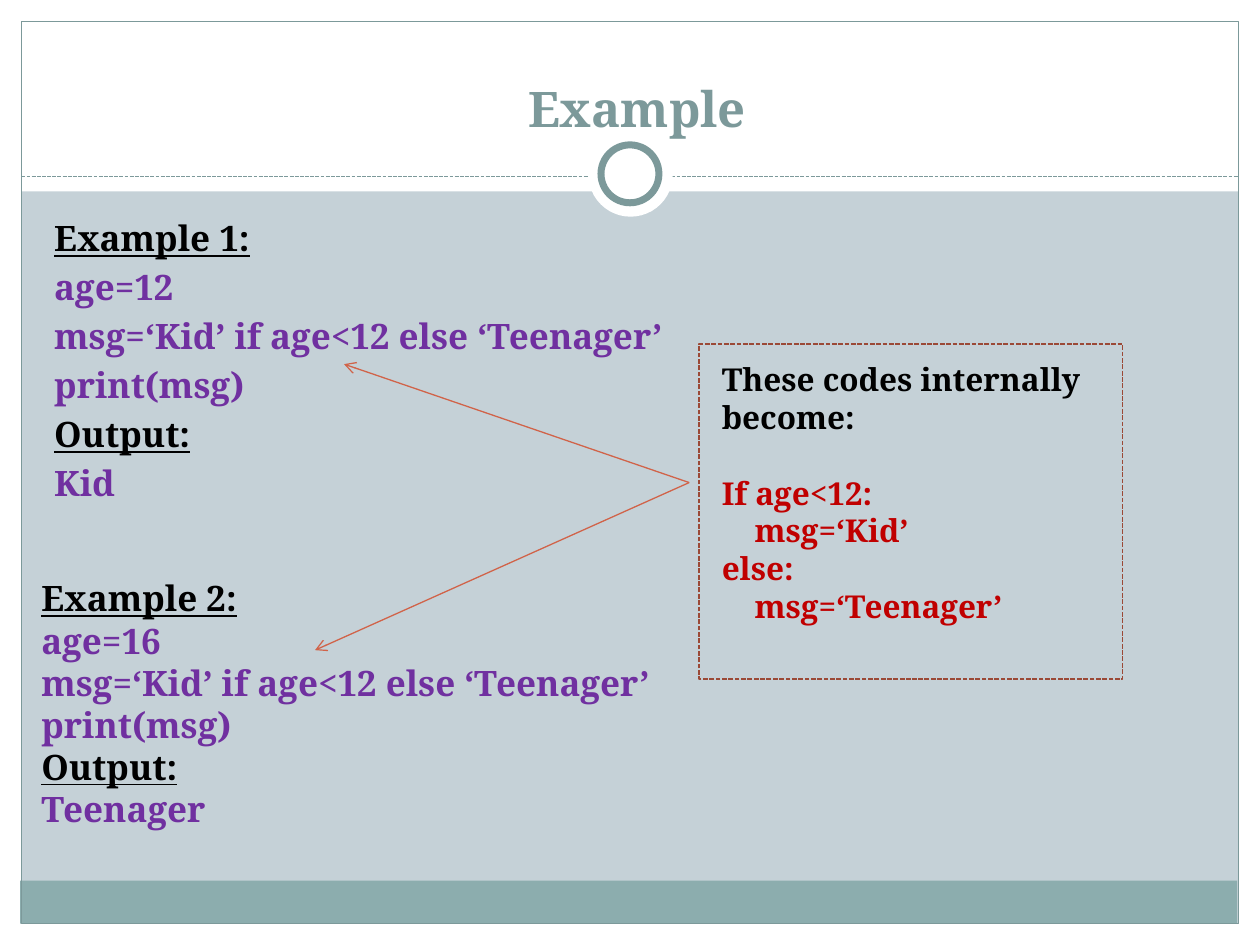
from pptx import Presentation
from pptx.dml.color import RGBColor as RGB
from pptx.enum.dml import MSO_LINE as Dash
from pptx.enum.shapes import MSO_CONNECTOR as Conn, MSO_SHAPE as Shape
from pptx.enum.text import MSO_ANCHOR as Anchor, MSO_AUTO_SIZE as Auto, PP_ALIGN as Align
from pptx.oxml.ns import qn
from pptx.util import Inches, Pt
from lxml.etree import SubElement

# Content: (text, colour, underlined)
TITLE = "Example"


def code(num, age, out):
    return [
        (f"Example {num}:", "black", True),
        (f"age={age}", "purple", False),
        ("msg=‘Kid’ if age<12 else ‘Teenager’", "purple", False),
        ("print(msg)", "purple", False),
        ("Output:", "black", True),
        (out, "purple", False),
    ]


FIRST = code(1, 12, "Kid")
SECOND = code(2, 16, "Teenager")
NOTE = [
    ("These codes internally", "black", False),
    ("become:", "black", False),
    ("If age<12:", "red", False),
    ("msg=‘Kid’", "red", False),
    ("else:", "red", False),
    ("msg=‘Teenager’", "red", False),
]
FONT = "Noto Serif"
HEX = {
    "back": "C5D1D7", "white": "FFFFFF", "band": "8CADAE", "teal": "7C999A",
    "black": "000000", "purple": "7030A0", "red": "C00000",
    "arrow": "D16349", "frame": "9B4936",
}

# Frame parts: shape, box, fill, line colour, line width
FRAME = [
    (Shape.RECTANGLE, (0, 7.33, 10, 0.17), "white", None, 0),
    (Shape.RECTANGLE, (0, 0, 10, 1.52), "white", None, 0),
    (Shape.RECTANGLE, (0, 0, 0.17, 7.5), "white", None, 0),
    (Shape.RECTANGLE, (9.83, 0, 0.17, 7.5), "white", None, 0),
    (Shape.RECTANGLE, (0.16, 6.99, 9.66, 0.34), "band", None, 0),
    (Shape.RECTANGLE, (0.17, 0.17, 9.66, 7.16), None, "teal", 0.75),
]
RINGS = [
    (Shape.OVAL, (4.67, 1.05, 0.67, 0.67), "white", None, 0),
    (Shape.OVAL, (4.77, 1.15, 0.46, 0.46), "white", "teal", 4),
]
START = (5.47, 3.83)
ENDS = [(2.73, 2.89), (2.5, 5.16)]

deck = Presentation()
deck.slide_width, deck.slide_height = Inches(10), Inches(7.5)
slide = deck.slides.add_slide(deck.slide_layouts[1])
slide.background.fill.solid()
slide.background.fill.fore_color.rgb = RGB.from_string(HEX["back"])
parts = slide.shapes


def color(name):
    return RGB.from_string(HEX[name])


def draw(kind, box, fill, line, width):
    item = parts.add_shape(kind, *map(Inches, box))
    item.shadow.inherit = False
    if fill:
        item.fill.solid()
        item.fill.fore_color.rgb = color(fill)
    else:
        item.fill.background()
    if line:
        item.line.color.rgb = color(line)
        item.line.width = Pt(width)
    else:
        item.line.fill.background()
    return item


def link(start, end, name):
    line = parts.add_connector(Conn.STRAIGHT, *map(Inches, start + end))
    line.line.color.rgb = color(name)
    line.line.width = Pt(0.75)
    SubElement(line._element.spPr, qn("a:effectLst"))
    return line


def place(item, box):
    item.left, item.top, item.width, item.height = map(Inches, box)
    item.text_frame.word_wrap = True
    item.text_frame.auto_size = Auto.NONE


def write(frame, rows, size):
    frame.text = "\n".join(row[0] for row in rows)
    for para, (_, name, under) in zip(frame.paragraphs, rows):
        font = para.runs[0].font
        font.name, font.size, font.bold = FONT, Pt(size), True
        font.underline = under
        font.color.rgb = color(name)


# Frame, divider and ring
for part in FRAME:
    draw(*part)
link((0.17, 1.4), (9.83, 1.4), "teal").line.dash_style = Dash.SQUARE_DOT
for part in RINGS:
    draw(*part)

# Title and first example, raised above the frame
title, body = parts.title, slide.placeholders[1]
for item in (title, body):
    parts._spTree.append(item._element)
place(title, (0.39, 0.31, 9.33, 0.83))
write(title.text_frame, [(TITLE, "teal", False)], 28)
title.text_frame.vertical_anchor = Anchor.BOTTOM
title.text_frame.paragraphs[0].alignment = Align.CENTER

place(body, (0.33, 1.67, 9.3, 5.31))
write(body.text_frame, FIRST, 20)
for para in body.text_frame.paragraphs:
    para.space_before = Pt(4)
    props = para._p.get_or_add_pPr()
    props.set("marL", "0")
    props.set("indent", "0")
    SubElement(props, qn("a:buNone"))

# Second example and note
for rows, box, size in [(SECOND, (0.23, 4.53, 5.27, 2.12), 20),
                        (NOTE, (5.63, 2.81, 3.18, 2.52), 18)]:
    text = parts.add_textbox(0, 0, 0, 0)
    place(text, box)
    write(text.text_frame, rows, size)
lines = text.text_frame.paragraphs
lines[2].space_before = Pt(21.6)
for para in lines[3::2]:
    para._p.get_or_add_pPr().set("marL", str(Inches(0.26)))

# Arrows and note border
for end in ENDS:
    arrow = link(START, end, "arrow")
    SubElement(arrow.line._get_or_add_ln(), qn("a:tailEnd"), type="arrow")
border = draw(Shape.RECTANGLE, (5.55, 2.73, 3.36, 2.66), None, "frame", 0.9)
border.line.dash_style = Dash.SQUARE_DOT

deck.save("out.pptx")
